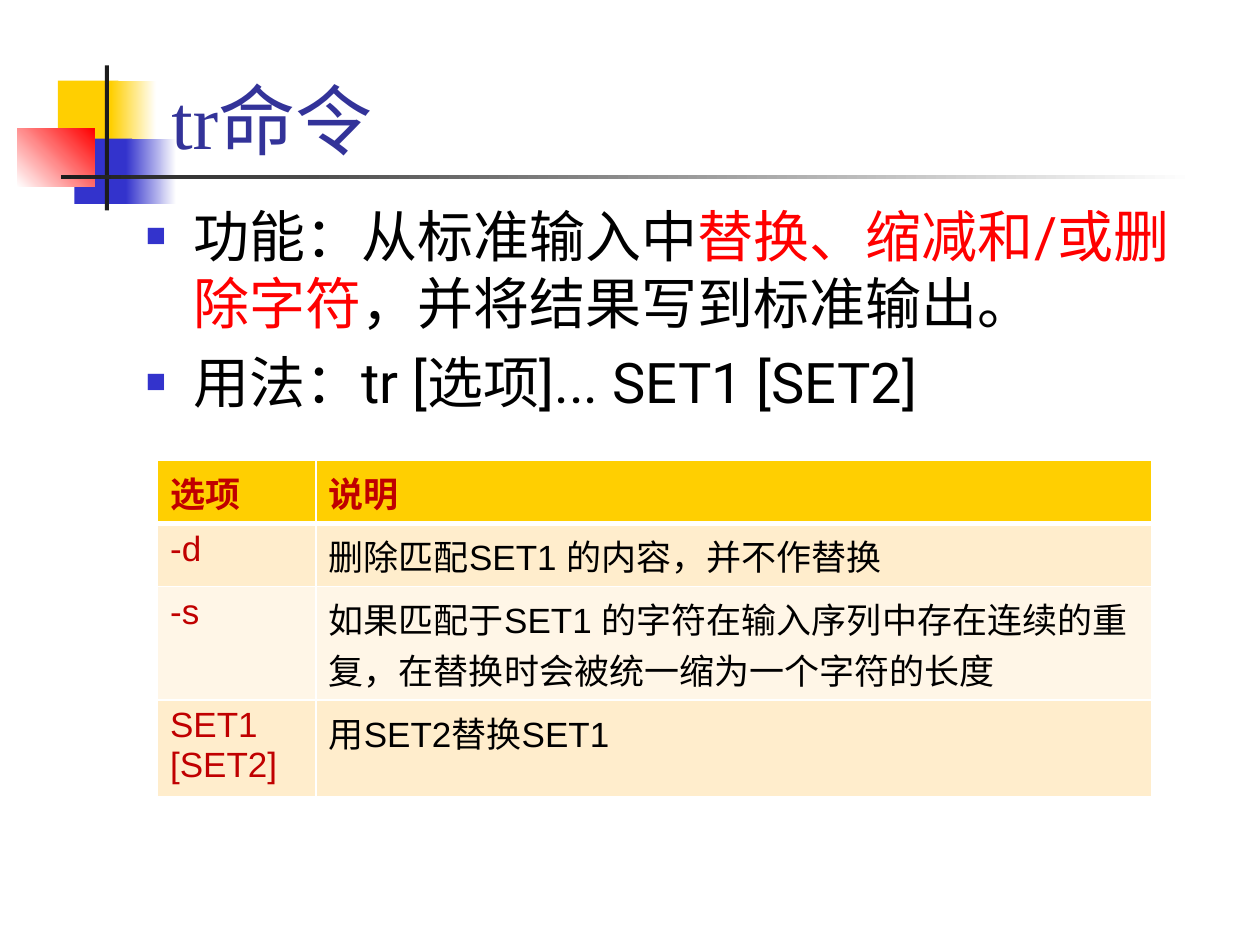
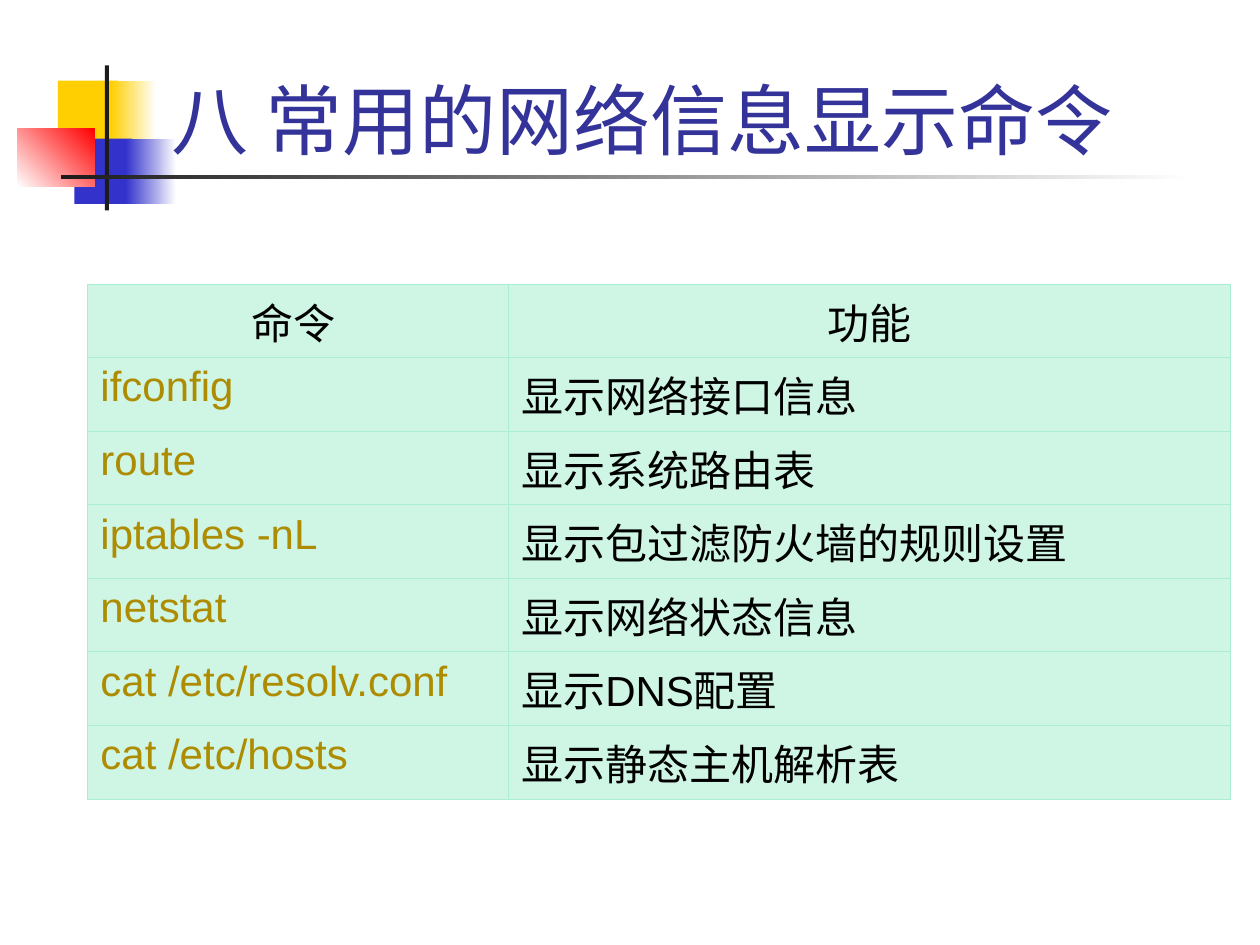
from dataclasses import dataclass

from lxml import etree
from pptx import Presentation
from pptx.dml.color import RGBColor
from pptx.enum.lang import MSO_LANGUAGE_ID
from pptx.enum.shapes import MSO_SHAPE
from pptx.enum.text import MSO_ANCHOR, MSO_AUTO_SIZE, PP_ALIGN
from pptx.oxml.ns import qn
from pptx.util import Pt

RECTANGLE = MSO_SHAPE.RECTANGLE
BOTTOM = MSO_ANCHOR.BOTTOM
NO_AUTOFIT = MSO_AUTO_SIZE.NONE
LEFT, CENTER = PP_ALIGN.LEFT, PP_ALIGN.CENTER
CHINESE = MSO_LANGUAGE_ID.SIMPLIFIED_CHINESE

WHITE, BLACK = "FFFFFF", "000000"
YELLOW, BLUE, RED, CHARCOAL = "FFCF01", "3333CC", "FF0000", "1C1C1C"
TITLE_BLUE, DARK_RED, OLIVE = "333399", "C00000", "AD8C01"
CREAM, PALE_CREAM = "FFEDCC", "FFF6E7"
MINT, MINT_LINE = "CFF5E5", "AAEFD1"
TITLE_FONT, BODY_FONT, TABLE_FONT = "Times New Roman", "Roboto", "Arial"
TITLE_ONLY = 5
HANGING = 27


@dataclass(frozen=True)
class Block:
    """A rectangle of the corner ornament; end_colour makes it a gradient."""
    left: float
    top: float
    width: float
    height: float
    colour: str
    end_colour: str = ""
    angle: float = 0


@dataclass(frozen=True)
class Span:
    text: str
    colour: str = BLACK


@dataclass(frozen=True)
class CellStyle:
    fill: str
    colour: str
    size: float
    line: str
    line_width: float
    bottom_width: float
    bold: bool = False
    align: PP_ALIGN = LEFT
    hanging: float = 0


@dataclass(frozen=True)
class Grid:
    left: float
    top: float
    column_widths: tuple[float, ...]
    row_heights: tuple[float, ...]


ORNAMENT = (
    Block(33.1, 46.1, 34.6, 37.4, YELLOW),
    Block(63.4, 46.1, 25.9, 37.4, YELLOW, WHITE),
    Block(42.5, 79.2, 33.1, 37.4, BLUE),
    Block(72, 79.2, 28.8, 37.4, BLUE, WHITE),
    Block(10, 73.4, 44, 33.4, WHITE, RED, 45),
    Block(59.9, 37.4, 2.4, 82.8, CHARCOAL),
    Block(34.8, 100, 648, 2.3, CHARCOAL, WHITE),
)

TR_USAGE = (
    (Span("功能：从标准输入中"), Span("替换、缩减和/或删除字符", RED),
     Span("，并将结果写到标准输出。")),
    (Span("用法：tr [选项]... SET1 [SET2]"),),
)

TR_OPTIONS = (
    ("选项", "说明"),
    ("-d", "删除匹配SET1 的内容，并不作替换"),
    ("-s", "如果匹配于SET1 的字符在输入序列中存在连续的重复，"
           "在替换时会被统一缩为一个字符的长度"),
    ("SET1 [SET2]", "用SET2替换SET1"),
)

NETWORK_COMMANDS = (
    ("命令 ", "功能"),
    ("ifconfig", "显示网络接口信息"),
    ("route", "显示系统路由表"),
    ("iptables -nL", "显示包过滤防火墙的规则设置"),
    ("netstat", "显示网络状态信息"),
    ("cat /etc/resolv.conf", "显示DNS配置"),
    ("cat /etc/hosts", "显示静态主机解析表"),
)


def rgb(colour: str) -> RGBColor:
    return RGBColor.from_string(colour)


def format_run(run, font: str, size: float, colour: str, bold: bool = False) -> None:
    run.font.name = font
    run.font.size = Pt(size)
    run.font.bold = bold
    run.font.color.rgb = rgb(colour)
    run.font.language_id = CHINESE


def hang(para, distance: float):
    """Indent all lines but the first, and return the paragraph properties."""
    properties = para._p.get_or_add_pPr()
    properties.set("marL", str(Pt(distance)))
    properties.set("indent", str(-Pt(distance)))
    return properties


def add_square_bullet(para) -> None:
    properties = hang(para, HANGING)
    colour = etree.SubElement(properties, qn("a:buClr"))
    etree.SubElement(colour, qn("a:srgbClr"), val=BLUE)
    etree.SubElement(properties, qn("a:buSzPct"), val="60000")
    etree.SubElement(properties, qn("a:buFont"), typeface=TABLE_FONT)
    etree.SubElement(properties, qn("a:buChar"), char="■")


def draw_block(slide, block: Block) -> None:
    shape = slide.shapes.add_shape(RECTANGLE, Pt(block.left), Pt(block.top),
                                   Pt(block.width), Pt(block.height))
    shape.shadow.inherit = False
    shape.line.fill.background()
    if not block.end_colour:
        shape.fill.solid()
        shape.fill.fore_color.rgb = rgb(block.colour)
        return
    shape.fill.gradient()
    shape.fill.gradient_angle = block.angle
    for stop, colour in zip(shape.fill.gradient_stops, (block.colour, block.end_colour)):
        stop.color.rgb = rgb(colour)


def add_titled_slide(deck, text: str):
    slide = deck.slides.add_slide(deck.slide_layouts[TITLE_ONLY])
    for block in ORNAMENT:
        draw_block(slide, block)
    title = slide.shapes.title
    slide.shapes.element.append(title.element)  # bring the title in front of the ornament
    title.left, title.top, title.width, title.height = Pt(90.7), Pt(15.1), Pt(613.4), Pt(82.8)
    frame = title.text_frame
    frame.text = text
    frame.word_wrap = True
    frame.auto_size = NO_AUTOFIT
    frame.vertical_anchor = BOTTOM
    para = frame.paragraphs[0]
    para.alignment = LEFT
    format_run(para.runs[0], TITLE_FONT, 44, TITLE_BLUE)
    return slide


def add_bullets(slide, items: tuple[tuple[Span, ...], ...]) -> None:
    box = slide.shapes.add_textbox(Pt(76.3), Pt(111.6), Pt(612), Pt(140))
    frame = box.text_frame
    frame.word_wrap = True
    for index, spans in enumerate(items):
        para = frame.add_paragraph() if index else frame.paragraphs[0]
        if index:
            para.space_before = Pt(6.4)
        add_square_bullet(para)
        for span in spans:
            run = para.add_run()
            run.text = span.text
            format_run(run, BODY_FONT, 32, span.colour)


def add_borders(cell, style: CellStyle, bottom_width: float, top_width: float) -> None:
    properties = cell._tc.get_or_add_tcPr()
    widths = {"a:lnL": style.line_width, "a:lnR": style.line_width,
              "a:lnT": top_width, "a:lnB": bottom_width}
    for side, width in widths.items():
        line = etree.SubElement(properties, qn(side), w=str(Pt(width)))
        fill = etree.SubElement(line, qn("a:solidFill"))
        etree.SubElement(fill, qn("a:srgbClr"), val=style.line)


def fill_cell(cell, text: str, style: CellStyle, top_width: float) -> None:
    add_borders(cell, style, style.bottom_width, top_width)
    cell.fill.solid()
    cell.fill.fore_color.rgb = rgb(style.fill)
    cell.text_frame.text = text
    para = cell.text_frame.paragraphs[0]
    para.alignment = style.align
    if style.hanging:
        hang(para, style.hanging)
    format_run(para.runs[0], TABLE_FONT, style.size, style.colour, style.bold)


def add_grid(slide, grid: Grid, rows: tuple[tuple[str, ...], ...], style_of) -> None:
    """Draw a table; style_of(row, column) gives the style of each cell."""
    table = slide.shapes.add_table(
        len(rows), len(grid.column_widths), Pt(grid.left), Pt(grid.top),
        Pt(sum(grid.column_widths)), Pt(sum(grid.row_heights))).table
    table.first_row = table.horz_banding = False
    for column, width in zip(table.columns, grid.column_widths):
        column.width = Pt(width)
    for row, height in zip(table.rows, grid.row_heights):
        row.height = Pt(height)
    for row, texts in enumerate(rows):
        for column, text in enumerate(texts):
            style = style_of(row, column)
            top_width = style_of(row - 1, column).bottom_width if row else style.line_width
            fill_cell(table.cell(row, column), text, style, top_width)


def option_style(row: int, column: int) -> CellStyle:
    if row == 0:
        return CellStyle(YELLOW, DARK_RED, 20, WHITE, 1, 3, bold=True)
    fill = CREAM if row % 2 else PALE_CREAM
    return CellStyle(fill, BLACK if column else DARK_RED, 20, WHITE, 1, 1)


def command_style(row: int, column: int) -> CellStyle:
    colour = OLIVE if row and not column else BLACK
    return CellStyle(MINT, colour, 24, MINT_LINE, 0.5, 0.5,
                     align=LEFT if row else CENTER, hanging=HANGING)


def main() -> None:
    deck = Presentation()
    deck.slide_width, deck.slide_height = Pt(720), Pt(540)

    tr_slide = add_titled_slide(deck, "tr命令")
    add_bullets(tr_slide, TR_USAGE)
    add_grid(tr_slide, Grid(90, 263, (90.7, 477.4), (36, 36, 65, 51)),
             TR_OPTIONS, option_style)

    network_slide = add_titled_slide(deck, "八 常用的网络信息显示命令")
    add_grid(network_slide, Grid(50.2, 162.3, (240.5, 412.6), (42,) * len(NETWORK_COMMANDS)),
             NETWORK_COMMANDS, command_style)

    deck.save("out.pptx")


if __name__ == "__main__":
    main()
